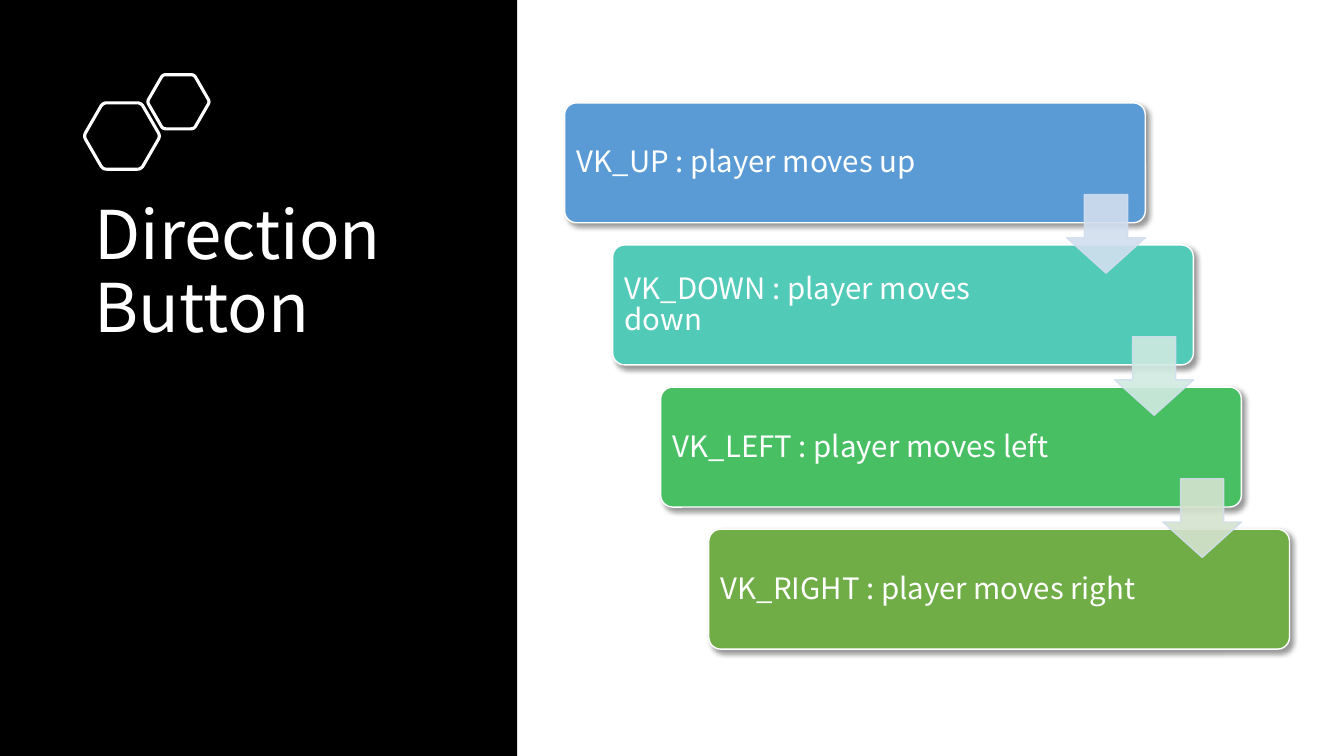
import math
from dataclasses import dataclass

import pptx
import pptx.dml.color
import pptx.enum.shapes
import pptx.enum.text
import pptx.oxml
import pptx.oxml.ns
import pptx.util
from pptx.util import Inches

FONT = "Noto Sans CJK KR"
WHITE = "FFFFFF"
ARROW_EDGE = "D2DEEF"
STEP_LEFT, STEP_TOP = 5.6, 1.02
STEP_WIDTH, STEP_HEIGHT = 5.76, 1.19
SHIFT_X, SHIFT_Y = 1.43 / 3, 1.41
ARROW_SIZE = 0.78
CORNER_POINTS = 6


@dataclass
class Step:
    label: str
    color: str


@dataclass
class Hexagon:
    center_x: float
    center_y: float
    radius: float
    corner: float


STEPS = [
    Step("VK_UP : player moves up", "5B9BD5"),
    Step("VK_DOWN : player moves down", "52CAB8"),
    Step("VK_LEFT : player moves left", "49BF64"),
    Step("VK_RIGHT : player moves right", "70AD47"),
]
ARROW_COLORS = ["D2DEEF", "D0EAE1", "D5E3CF"]
HEXAGONS = [Hexagon(1.21, 1.35, 0.38, 0.04), Hexagon(1.77, 1.01, 0.31, 0.03)]


def rgb(color: str) -> pptx.dml.color.RGBColor:
    return pptx.dml.color.RGBColor.from_string(color)


def paint(shape, fill: str | None, line: str | None = None, width: float = 1) -> None:
    shape.shadow.inherit = False
    if fill:
        shape.fill.solid()
        shape.fill.fore_color.rgb = rgb(fill)
    else:
        shape.fill.background()
    if line:
        shape.line.color.rgb = rgb(line)
        shape.line.width = pptx.util.Pt(width)
    else:
        shape.line.fill.background()


def set_opacity(shape, percent: int) -> None:
    for color in shape._element.spPr.iter(pptx.oxml.ns.qn("a:srgbClr")):
        alpha = color.makeelement(pptx.oxml.ns.qn("a:alpha"), {"val": str(percent * 1000)})
        color.append(alpha)


def add_shadow(shape) -> None:
    effects = shape._element.spPr.find(pptx.oxml.ns.qn("a:effectLst"))
    effects.append(pptx.oxml.parse_xml(
        f'<a:outerShdw {pptx.oxml.ns.nsdecls("a")} blurRad="{pptx.util.Pt(4)}" '
        f'dist="{pptx.util.Pt(3)}" dir="{45 * 60000}" algn="ctr" rotWithShape="0">'
        '<a:srgbClr val="000000"><a:alpha val="40000"/></a:srgbClr></a:outerShdw>'))


def add_text(slide, text: str, left: float, top: float, width: float, height: float,
             size: float, inset_x: float, inset_y: float,
             anchor: pptx.enum.text.MSO_ANCHOR) -> None:
    frame = slide.shapes.add_textbox(
        Inches(left), Inches(top), Inches(width), Inches(height)).text_frame
    frame.word_wrap = True
    frame.vertical_anchor = anchor
    frame.margin_left = frame.margin_right = Inches(inset_x)
    frame.margin_top = frame.margin_bottom = Inches(inset_y)
    paragraph = frame.paragraphs[0]
    paragraph.text = text
    paragraph.line_spacing = 0.9
    for run in paragraph.runs:
        run.font.size = pptx.util.Pt(size)
        run.font.name = FONT
        run.font.color.rgb = rgb(WHITE)


def hexagon_outline(hexagon: Hexagon) -> list[tuple[int, int]]:
    vertices = [(hexagon.center_x + hexagon.radius * math.cos(math.radians(60 * i)),
                 hexagon.center_y + hexagon.radius * math.sin(math.radians(60 * i)))
                for i in range(6)]
    cut = hexagon.corner / hexagon.radius
    outline = []
    for i, (x, y) in enumerate(vertices):
        before, after = vertices[i - 1], vertices[(i + 1) % 6]
        for k in range(CORNER_POINTS + 1):
            t = k / CORNER_POINTS
            toward_before, toward_after = cut * (1 - t) ** 2, cut * t ** 2
            outline.append((
                Inches(x + toward_before * (before[0] - x) + toward_after * (after[0] - x)),
                Inches(y + toward_before * (before[1] - y) + toward_after * (after[1] - y))))
    return outline


def add_hexagon(slide, hexagon: Hexagon) -> None:
    outline = hexagon_outline(hexagon)
    builder = slide.shapes.build_freeform(*outline[0])
    builder.add_line_segments(outline[1:], close=True)
    paint(builder.convert_to_shape(), None, WHITE, 2.25)


def add_step(slide, index: int, step: Step) -> None:
    left, top = STEP_LEFT + index * SHIFT_X, STEP_TOP + index * SHIFT_Y
    card = slide.shapes.add_shape(
        pptx.enum.shapes.MSO_SHAPE.ROUNDED_RECTANGLE,
        Inches(left), Inches(top), Inches(STEP_WIDTH), Inches(STEP_HEIGHT))
    card.adjustments[0] = 0.1
    paint(card, step.color, WHITE)
    add_shadow(card)
    add_text(slide, step.label, left + 0.03, top + 0.04, 4.43, 1.12, 21, 0.09, 0.09,
             pptx.enum.text.MSO_ANCHOR.MIDDLE)


def add_arrow(slide, index: int, color: str) -> None:
    left = STEP_LEFT + STEP_WIDTH - ARROW_SIZE + index * SHIFT_X
    top = STEP_TOP + 0.91 + index * SHIFT_Y
    arrow = slide.shapes.add_shape(
        pptx.enum.shapes.MSO_SHAPE.DOWN_ARROW,
        Inches(left), Inches(top), Inches(ARROW_SIZE), Inches(ARROW_SIZE))
    arrow.adjustments[0] = 0.55
    arrow.adjustments[1] = 0.45
    paint(arrow, color, ARROW_EDGE)
    set_opacity(arrow, 90)


def main() -> None:
    presentation = pptx.Presentation()
    presentation.slide_width = Inches(13.33)
    presentation.slide_height = Inches(7.5)
    slide = presentation.slides.add_slide(presentation.slide_layouts[6])

    sidebar = slide.shapes.add_shape(
        pptx.enum.shapes.MSO_SHAPE.RECTANGLE, 0, 0, Inches(5.13), Inches(7.5))
    paint(sidebar, "000000")
    add_text(slide, "Direction \vButton", 0.84, 1.95, 3.92, 3.5, 48, 0.1, 0.05,
             pptx.enum.text.MSO_ANCHOR.TOP)
    for hexagon in HEXAGONS:
        add_hexagon(slide, hexagon)
    for index, step in enumerate(STEPS):
        add_step(slide, index, step)
    for index, color in enumerate(ARROW_COLORS):
        add_arrow(slide, index, color)

    presentation.save("out.pptx")


if __name__ == "__main__":
    main()
